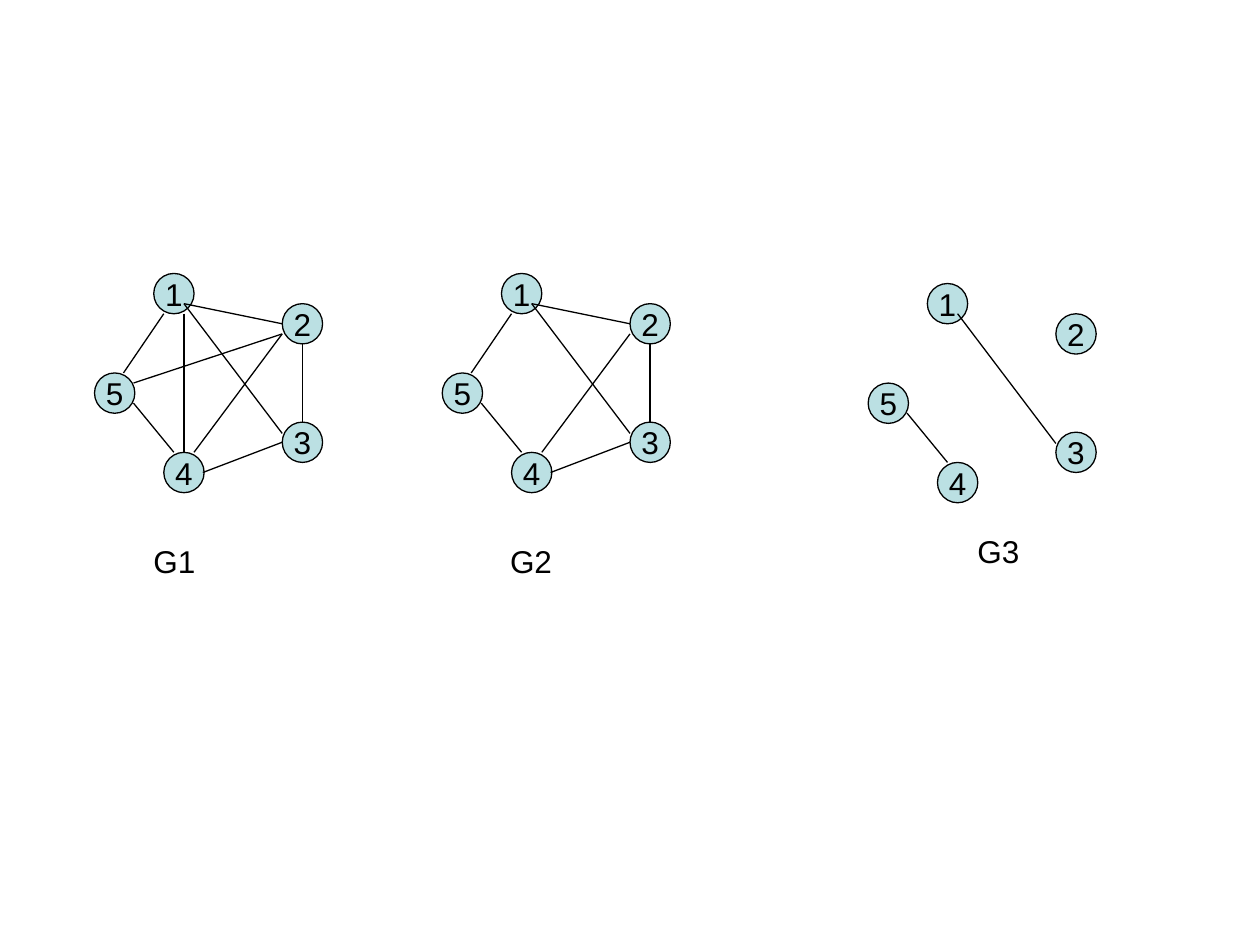
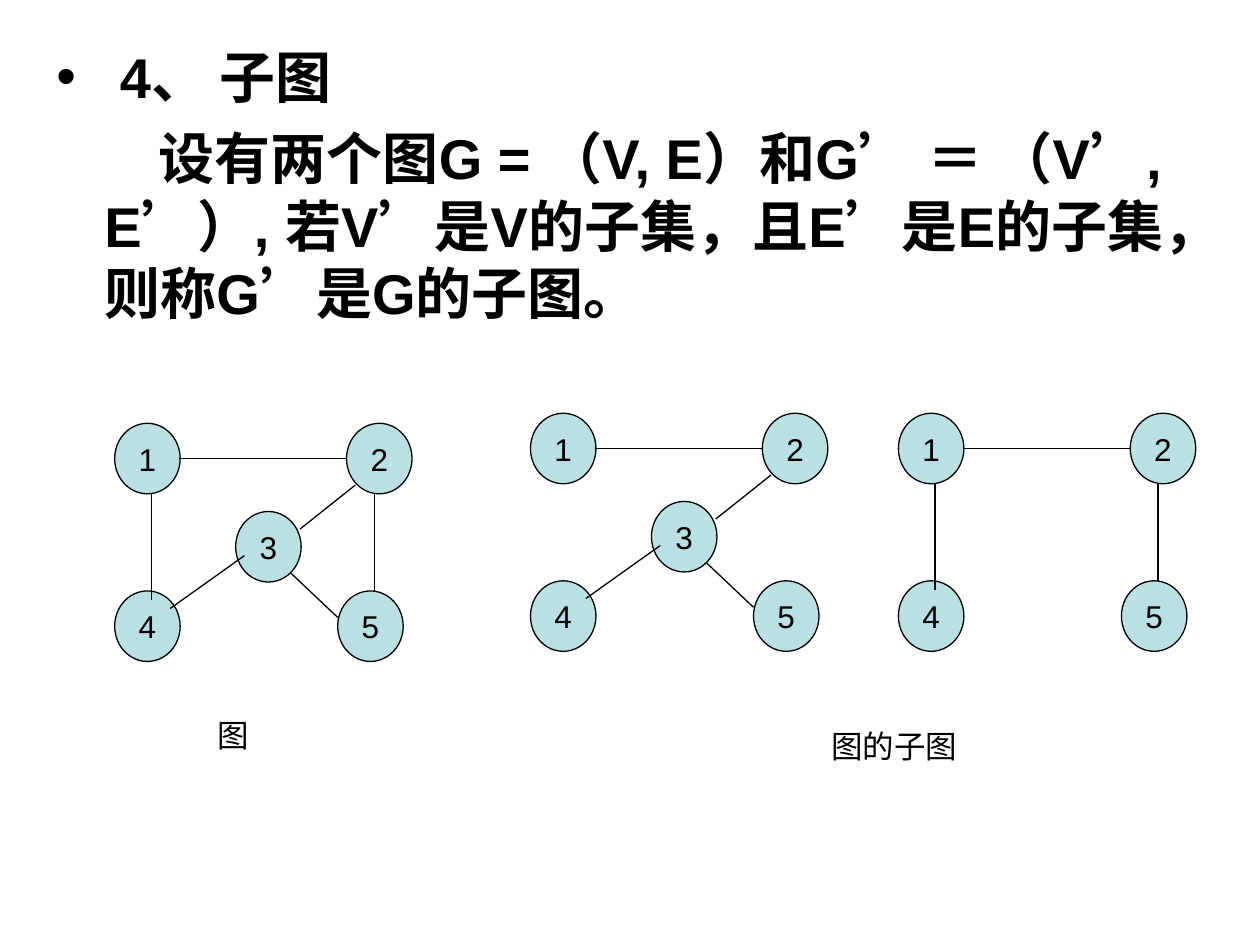
import pptx
import pptx.util
import pptx.dml.color
import pptx.enum.shapes
import pptx.enum.text
import lxml.etree

Inches, Pt = pptx.util.Inches, pptx.util.Pt
ALIGN = pptx.enum.text.PP_ALIGN
HUES = {"node": "BBE0E3", "ink": "000000"}
FONT = {"name": "Arial", "size": Pt(18), "bold": False}
BOLD = {"name": "Arial", "size": Pt(32), "bold": True}

# Body text: words, left margin, first-line indent, space before, bullet
BODY = [
    (" 4、 子图", 0.38, -0.38, 0, "•"),
    ("设有两个图G = （V, E）和G’ ＝ （V’, E’）, 若V’是V的子集，且"
     "E’是E的子集，则称G’是G的子图。", 0.38, 0.43, 8, None),
]

# Base graphs: node corners and edge ends, in inches
FIVE = {
    "size": (0.32, 0.32),
    "nodes": {"1": (1.22, 2.17), "2": (2.24, 2.41), "5": (0.75, 2.96),
              "4": (1.3, 3.59), "3": (2.24, 3.35)},
    "edges": {"15": (1.3, 2.49, 0.98, 2.96), "12": (1.46, 2.41, 2.24, 2.57),
              "54": (1.06, 3.2, 1.38, 3.59), "14": (1.46, 2.49, 1.46, 3.59),
              "13": (1.46, 2.41, 2.24, 3.44), "52": (1.06, 3.04, 2.24, 2.65),
              "23": (2.4, 2.73, 2.4, 3.36), "43": (1.61, 3.75, 2.24, 3.51),
              "42": (1.54, 3.59, 2.24, 2.65)},
}
HOUSE = {
    "size": (0.52, 0.56),
    "nodes": {"1": (0.91, 3.36), "2": (2.75, 3.36), "4": (0.91, 4.69),
              "5": (2.68, 4.69), "3": (1.87, 4.06)},
    "edges": {"12": (1.42, 3.64, 2.75, 3.64), "14": (1.2, 3.92, 1.2, 4.76),
              "43": (1.35, 4.83, 1.94, 4.41), "32": (2.38, 4.2, 2.82, 3.85),
              "25": (2.97, 3.92, 2.97, 4.69), "53": (2.68, 4.9, 2.31, 4.55)},
}

# Slides: graphs are (base, shift, nodes, edges); labels are (words, box)
SLIDES = [
    {"body": [],
     "graphs": [(FIVE, (0, 0), "12543", "15 12 54 14 13 52 23 43 42"),
                (FIVE, (2.76, 0), "12543", "15 12 54 13 23 43 42"),
                (FIVE, (6.14, 0.08), "12543", "54 13")],
     "labels": [("G1", (1.12, 4.25, 0.6, 0.4)),
                ("G2", (3.95, 4.25, 0.6, 0.4)),
                ("G3", (7.66, 4.17, 0.6, 0.4))]},
    {"body": BODY,
     "graphs": [(HOUSE, (0, 0), "12453", "12 14 43 32 25 53"),
                (HOUSE, (3.3, -0.08), "12453", "12 43 32 53"),
                (HOUSE, (6.22, -0.08), "1245", "12 14 25")],
     "labels": [("图", (1.63, 5.63, 0.45, 0.4)),
                ("图的子图", (6.5, 5.72, 1.2, 0.4))]},
]


def hue(key):
    return pptx.dml.color.RGBColor.from_string(HUES[key])


def style(font, form):
    for key, val in form.items():
        setattr(font, key, val)
    font.color.rgb = hue("ink")


def ink(line):
    line.color.rgb = hue("ink")
    line.width = Pt(0.75)


def add_node(page, name, spot, size):
    oval = page.shapes.add_shape(pptx.enum.shapes.MSO_SHAPE.OVAL,
                                 *map(Inches, spot + size))
    oval.shadow.inherit = False
    oval.fill.solid()
    oval.fill.fore_color.rgb = hue("node")
    ink(oval.line)
    frame = oval.text_frame
    frame.word_wrap = False
    frame.vertical_anchor = pptx.enum.text.MSO_ANCHOR.MIDDLE
    para = frame.paragraphs[0]
    para.text = name
    para.alignment = ALIGN.CENTER
    style(para.font, FONT)


def add_edge(page, ends):
    edge = page.shapes.add_connector(
        pptx.enum.shapes.MSO_CONNECTOR.STRAIGHT, *map(Inches, ends))
    ink(edge.line)
    lxml.etree.SubElement(edge._element.spPr, pptx.oxml.ns.qn("a:effectLst"))


def add_graph(page, base, shift, names, pairs):
    dx, dy = shift
    for name in names:
        x, y = base["nodes"][name]
        add_node(page, name, (x + dx, y + dy), base["size"])
    for pair in pairs.split():
        x, y, u, v = base["edges"][pair]
        add_edge(page, (x + dx, y + dy, u + dx, v + dy))


def add_label(page, words, box):
    frame = page.shapes.add_textbox(*map(Inches, box)).text_frame
    frame.word_wrap = False
    frame.paragraphs[0].text = words
    style(frame.paragraphs[0].font, FONT)


def add_body(page, rows):
    frame = page.shapes.add_textbox(
        *map(Inches, (0.35, 0.29, 9, 2.6))).text_frame
    frame.word_wrap = True
    for i, (words, left, dent, gap, mark) in enumerate(rows):
        para = frame.add_paragraph() if i else frame.paragraphs[0]
        para.text = words
        para.space_before = Pt(gap)
        prop = para._p.get_or_add_pPr()
        prop.set("marL", str(Inches(left)))
        prop.set("indent", str(Inches(dent)))
        if mark:
            for tag, key, val in (("a:buFont", "typeface", FONT["name"]),
                                  ("a:buChar", "char", mark)):
                part = lxml.etree.SubElement(prop, pptx.oxml.ns.qn(tag))
                part.set(key, val)
        style(para.font, BOLD)


def main():
    deck = pptx.Presentation()
    deck.slide_width, deck.slide_height = Inches(10), Inches(7.5)
    for plan in SLIDES:
        page = deck.slides.add_slide(deck.slide_layouts[6])
        if plan["body"]:
            add_body(page, plan["body"])
        for graph in plan["graphs"]:
            add_graph(page, *graph)
        for label in plan["labels"]:
            add_label(page, *label)
    deck.save("out.pptx")


if __name__ == "__main__":
    main()
